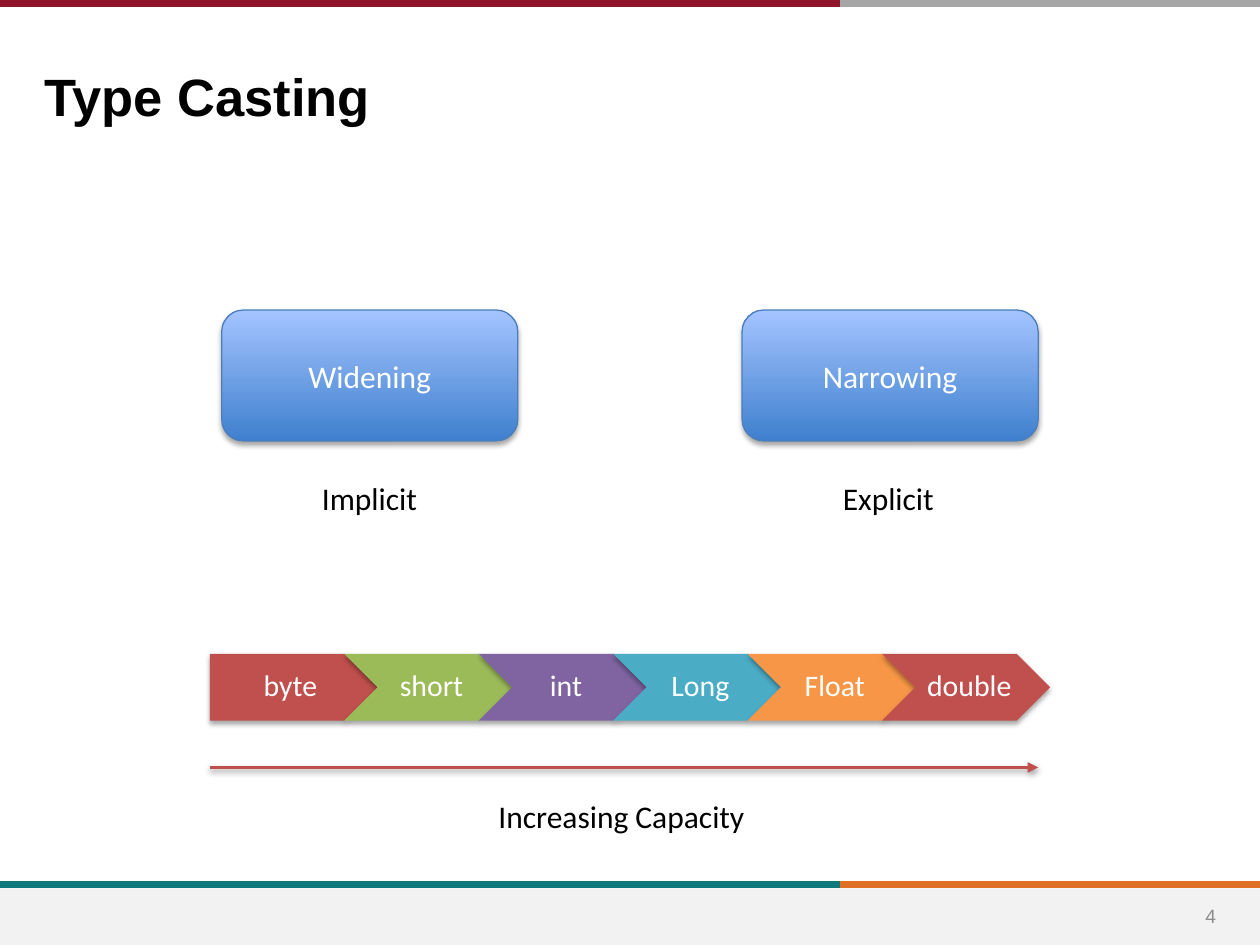
from lxml import etree
from pptx import Presentation
from pptx.dml.color import RGBColor
from pptx.enum import shapes, text
from pptx.oxml import ns
from pptx.util import Cm, Pt

COLORS = {
    "black": "000000", "white": "FFFFFF", "number": "8C8C8C", "footer": "F2F2F2",
    "crimson": "90152A", "silver": "A6A6A6", "teal": "0F787D", "rust": "DF7023",
    "box_bottom": "3F80CE", "box_top": "A4C4FF", "box_line": "4B7EBC",
    "red": "C0504D", "green": "9BBB59", "purple": "8064A2",
    "aqua": "4BACC6", "orange": "F79646",
}
RGB = {name: RGBColor.from_string(value) for name, value in COLORS.items()}


def set_effects(shape, distance=0, alpha=0):
    """Give the shape a downward soft shadow, or no effect if distance is 0."""
    effects = etree.SubElement(shape._element.spPr, ns.qn("a:effectLst"))
    if distance:
        shadow = etree.SubElement(
            effects, ns.qn("a:outerShdw"), blurRad=str(Pt(3.1)),
            dist=str(Pt(distance)), dir="5400000", rotWithShape="0")
        color = etree.SubElement(shadow, ns.qn("a:srgbClr"), val=COLORS["black"])
        etree.SubElement(color, ns.qn("a:alpha"), val=str(alpha * 1000))


def write(shape, words, size, color, font="Calibri", align=text.PP_ALIGN.CENTER,
          anchor=text.MSO_ANCHOR.MIDDLE, wrap=True, bold=False):
    frame = shape.text_frame
    frame.word_wrap = wrap
    frame.vertical_anchor = anchor
    paragraph = frame.paragraphs[0]
    paragraph.alignment = align
    run = paragraph.add_run()
    run.text = words
    run.font.name = font
    run.font.size = Pt(size)
    run.font.bold = bold
    run.font.color.rgb = RGB[color]


presentation = Presentation()
presentation.slide_width, presentation.slide_height = Cm(25.4), Cm(19.05)
slide = presentation.slides.add_slide(presentation.slide_layouts[5])

# Footer band and the two-coloured rules at top and bottom
footer = slide.shapes.add_shape(
    shapes.MSO_SHAPE.RECTANGLE, Cm(0), Cm(17.91), Cm(25.4), Cm(1.14))
footer.fill.solid()
footer.fill.fore_color.rgb = RGB["footer"]
footer.line.fill.background()
footer.shadow.inherit = False

for y, left_color, right_color in [(0.07, "crimson", "silver"), (17.83, "teal", "rust")]:
    for start, end, color in [(0, 16.93, left_color), (16.93, 25.4, right_color)]:
        rule = slide.shapes.add_connector(
            shapes.MSO_CONNECTOR.STRAIGHT, Cm(start), Cm(y), Cm(end), Cm(y))
        rule.line.color.rgb = RGB[color]
        rule.line.width = Pt(4)
        set_effects(rule)

number = slide.shapes.add_textbox(Cm(23.75), Cm(17.96), Cm(1.32), Cm(1.02))
write(number, "4", 11, "number", font="Arial")

title = slide.shapes.title
title.left, title.top, title.width, title.height = Cm(0.64), Cm(1.17), Cm(20.29), Cm(1.5)
write(title, "Type Casting", 30, "black", font="Arial", bold=True,
      align=text.PP_ALIGN.LEFT, anchor=text.MSO_ANCHOR.TOP)

# The two kinds of casting
for left, kind in [(4.47, "Widening"), (14.96, "Narrowing")]:
    box = slide.shapes.add_shape(
        shapes.MSO_SHAPE.ROUNDED_RECTANGLE, Cm(left), Cm(6.25), Cm(5.97), Cm(2.64))
    box.fill.gradient()
    box.fill.gradient_angle = 90
    for stop, color in zip(box.fill.gradient_stops, ("box_bottom", "box_top")):
        stop.color.rgb = RGB[color]
    box.line.color.rgb = RGB["box_line"]
    box.line.width = Pt(0.75)
    set_effects(box, distance=1.8, alpha=35)
    write(box, kind, 18, "white")

for left, top, width, words in [(6.24, 9.53, 2.44, "Implicit"),
                                (16.74, 9.53, 2.36, "Explicit"),
                                (9.8, 15.95, 5.54, "Increasing Capacity")]:
    label = slide.shapes.add_textbox(Cm(left), Cm(top), Cm(width), Cm(1.02))
    write(label, words, 18, "black", align=text.PP_ALIGN.LEFT,
          anchor=text.MSO_ANCHOR.TOP, wrap=False)

# Chain of types, smallest to largest
types = [("byte", "red"), ("short", "green"), ("int", "purple"),
         ("Long", "aqua"), ("Float", "orange"), ("double", "red")]
for index, (name, color) in enumerate(types):
    outline = shapes.MSO_SHAPE.CHEVRON if index else shapes.MSO_SHAPE.PENTAGON
    step = slide.shapes.add_shape(
        outline, Cm(4.23 + 2.71 * index), Cm(13.18), Cm(3.39), Cm(1.35))
    step.fill.solid()
    step.fill.fore_color.rgb = RGB[color]
    step.line.fill.background()
    set_effects(step, distance=1.8, alpha=35)
    write(step, name, 17, "white")
    step.text_frame.margin_left = Cm(0.18 if index else 0.25)
    step.text_frame.margin_right = Cm(0.05)
    step.text_frame.paragraphs[0].line_spacing = 0.9

arrow = slide.shapes.add_connector(
    shapes.MSO_CONNECTOR.STRAIGHT, Cm(4.23), Cm(15.47), Cm(20.93), Cm(15.47))
arrow.line.color.rgb = RGB["red"]
arrow.line.width = Pt(2)
etree.SubElement(arrow.line._get_or_add_ln(), ns.qn("a:tailEnd"), type="triangle")
set_effects(arrow, distance=1.6, alpha=38)

presentation.save("out.pptx")
